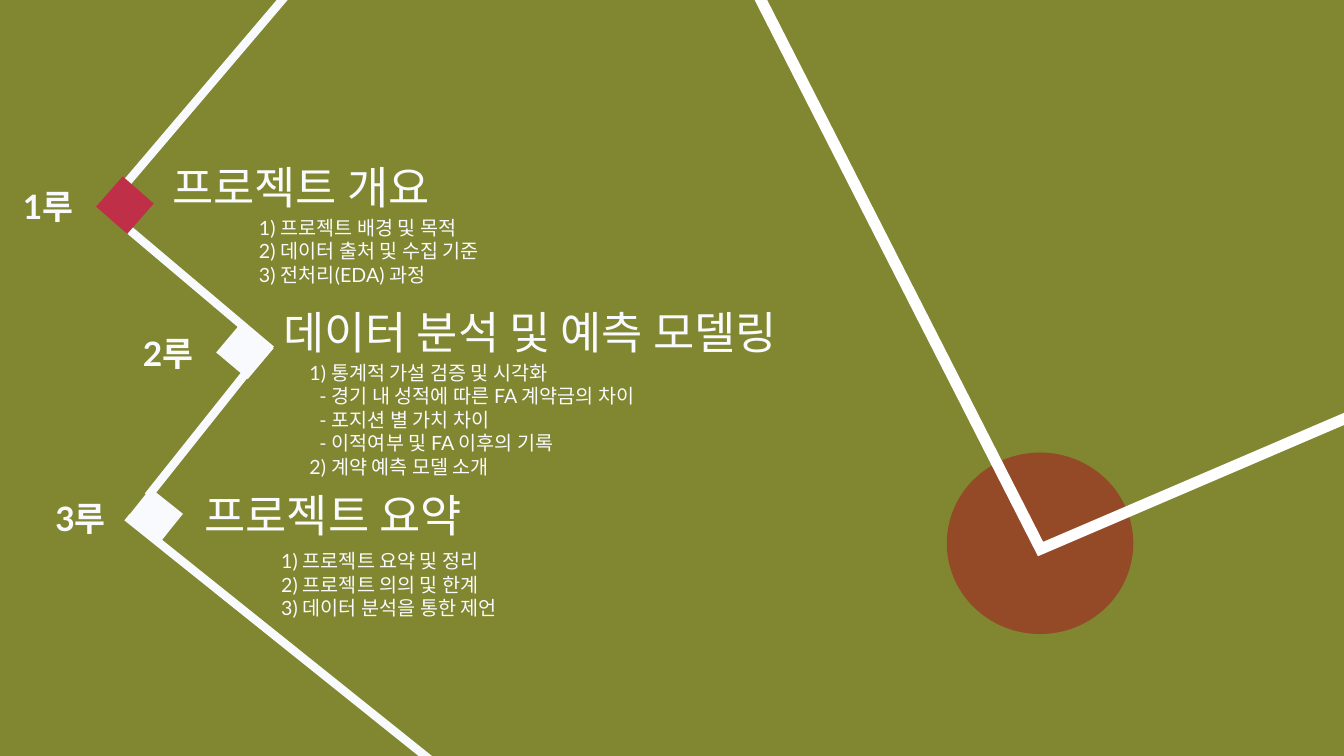
from dataclasses import dataclass
from itertools import pairwise
from lxml.etree import SubElement
from pptx import Presentation
from pptx.dml.color import RGBColor
from pptx.enum.shapes import MSO_CONNECTOR, MSO_SHAPE
from pptx.enum.text import MSO_AUTO_SIZE
from pptx.oxml.ns import qn
from pptx.util import Inches, Pt


@dataclass(frozen=True)
class Theme:
    font: str = "Lato"
    grass: str = "818630"
    clay: str = "944A27"
    chalk: str = "F9FAFD"
    white: str = "FFFFFF"
    red: str = "BF2F47"
    label: int = 24
    title: int = 32
    body: int = 14
    path_line: int = 6
    foul_line: int = 8


def color(code):
    return RGBColor.from_string(code)


def apply(target, values):
    for name, value in values.items():
        setattr(target, name, value)


class Field:
    def __init__(self, slide, theme):
        self.slide, self.theme = slide, theme
        fill = slide.background.fill
        fill.solid()
        fill.fore_color.rgb = color(theme.grass)

    def text(self, box, lines, size, bold=False):
        shape = self.slide.shapes.add_textbox(*map(Inches, box))
        frame = shape.text_frame
        apply(frame, {"word_wrap": True, "auto_size": MSO_AUTO_SIZE.SHAPE_TO_FIT_TEXT})
        for num, line in enumerate(lines):
            para = frame.add_paragraph() if num else frame.paragraphs[0]
            if line.startswith("-"):
                para._p.get_or_add_pPr().set("marL", str(Inches(0.1)))
            run = para.add_run()
            run.text = line
            apply(run.font, {"name": self.theme.font, "size": Pt(size), "bold": bold})
            run.font.color.rgb = color(self.theme.chalk)

    def shape(self, kind, box, fill=None, turn=0, line=None):
        shape = self.slide.shapes.add_shape(kind, *map(Inches, box))
        shape.rotation = turn
        shape.shadow.inherit = False
        if fill:
            shape.fill.solid()
            shape.fill.fore_color.rgb = color(fill)
        else:
            shape.fill.background()
        if line:
            shape.line.color.rgb = color(line)
            shape.line.width = Pt(self.theme.foul_line)
            SubElement(shape.line._ln, qn("a:miter"), lim="800000")
        else:
            shape.line.fill.background()

    def line(self, start, end):
        link = self.slide.shapes.add_connector(
            MSO_CONNECTOR.STRAIGHT, *map(Inches, (*start, *end)))
        link.line.color.rgb = color(self.theme.chalk)
        link.line.width = Pt(self.theme.path_line)
        SubElement(link._element.spPr, qn("a:effectLst"))

    def base(self, label, spot, title, head, points, list_at, corner, turn, fill):
        theme = self.theme
        self.shape(MSO_SHAPE.RECTANGLE, (*corner, 0.4, 0.41), fill, turn)
        self.text((*spot, 1.24, 0.5), [label], theme.label, True)
        self.text((*head, 5.83, 0.64), [title], theme.title)
        tall = 0.1 + 0.236 * len(points)
        self.text((*list_at, 7.41, tall), points, theme.body)


def main():
    deck = Presentation()
    apply(deck, {"slide_width": Inches(13.33), "slide_height": Inches(7.5)})
    theme = Theme()
    field = Field(deck.slides.add_slide(deck.slide_layouts[6]), theme)

    field.shape(MSO_SHAPE.OVAL, (9.39, 4.49, 1.85, 1.8), theme.clay)
    field.shape(MSO_SHAPE.DIAMOND, (6.59, -5.91, 11.31, 12.08),
                turn=109.9, line=theme.white)

    route = [(2.9, -0.12), (1.2, 1.88)], [(1.27, 2.27), (2.69, 3.47)], \
            [(2.48, 3.65), (1.47, 4.92)], [(1.26, 5.13), (4.43, 7.67)]
    for leg in route:
        for start, end in pairwise(leg):
            field.line(start, end)

    field.base("1루", (0.13, 1.8), "프로젝트 개요", (1.61, 1.54),
               ["1) 프로젝트 배경 및 목적", "2) 데이터 출처 및 수집 기준",
                "3) 전처리(EDA) 과정"],
               (2.47, 2.09), (1.04, 1.83), 311.2, theme.red)
    field.base("2루", (1.32, 3.25), "데이터 분석 및 예측 모델링", (2.71, 2.97),
               ["1) 통계적 가설 검증 및 시각화", "- 경기 내 성적에 따른 FA 계약금의 차이",
                "- 포지션 별 가치 차이", "- 이적여부 및 FA 이후의 기록",
                "2) 계약 예측 모델 소개"],
               (2.97, 3.53), (2.23, 3.27), 310.1, theme.chalk)
    field.base("3루", (0.45, 4.89), "프로젝트 요약", (1.93, 4.79),
               ["1) 프로젝트 요약 및 정리", "2) 프로젝트 의의 및 한계",
                "3) 데이터 분석을 통한 제언"],
               (2.69, 5.4), (1.33, 4.92), 308.6, theme.chalk)

    deck.save("out.pptx")


if __name__ == "__main__":
    main()
